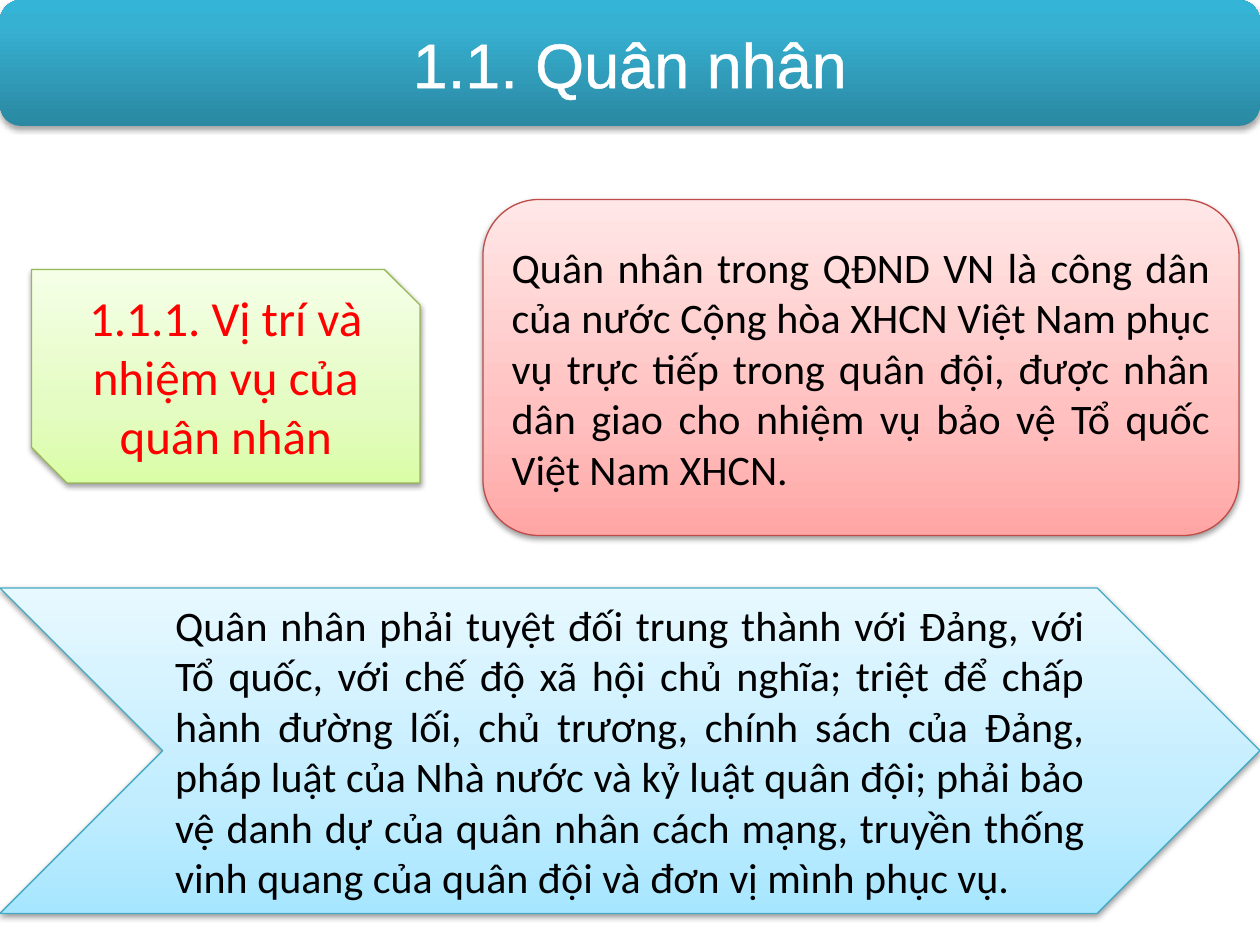
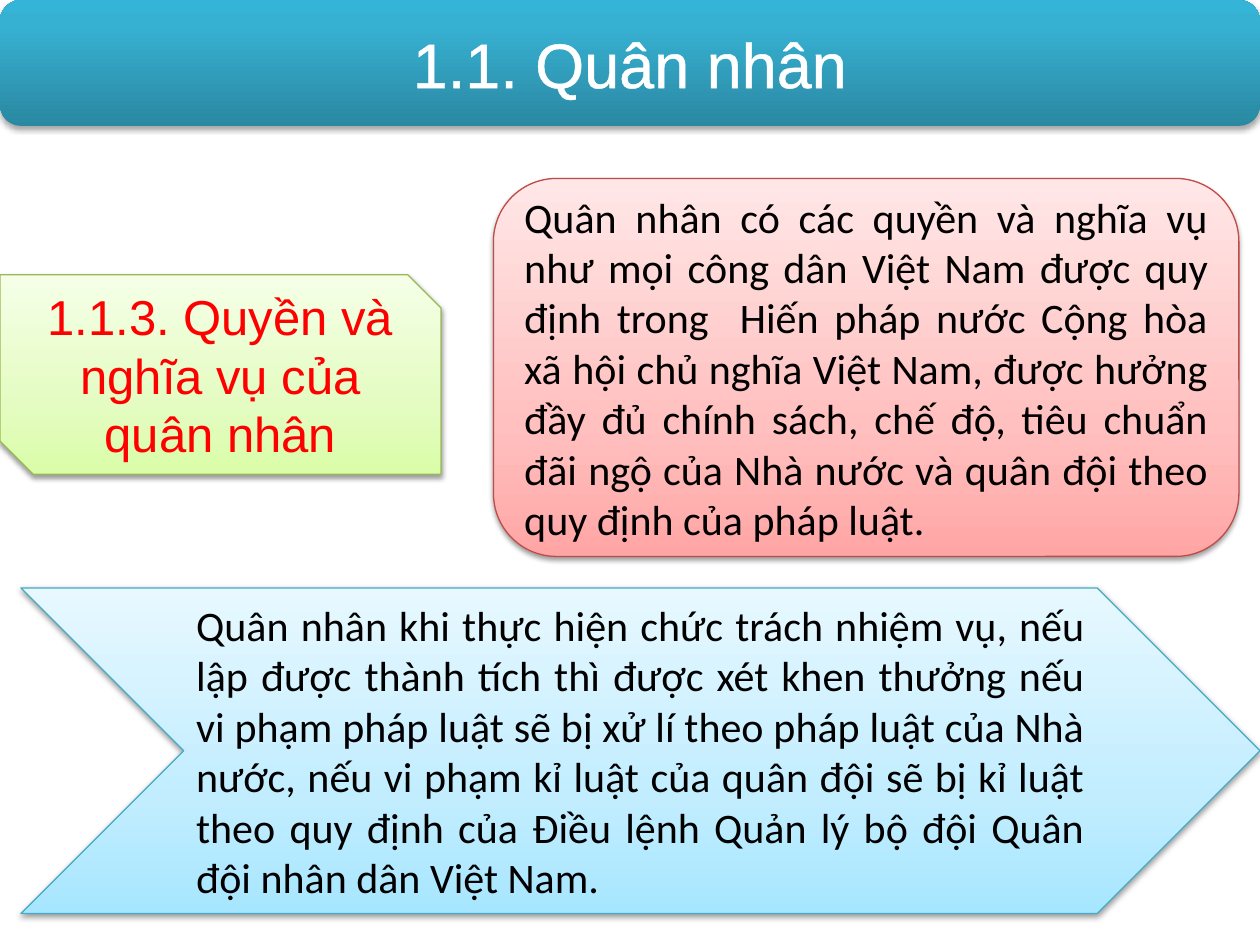
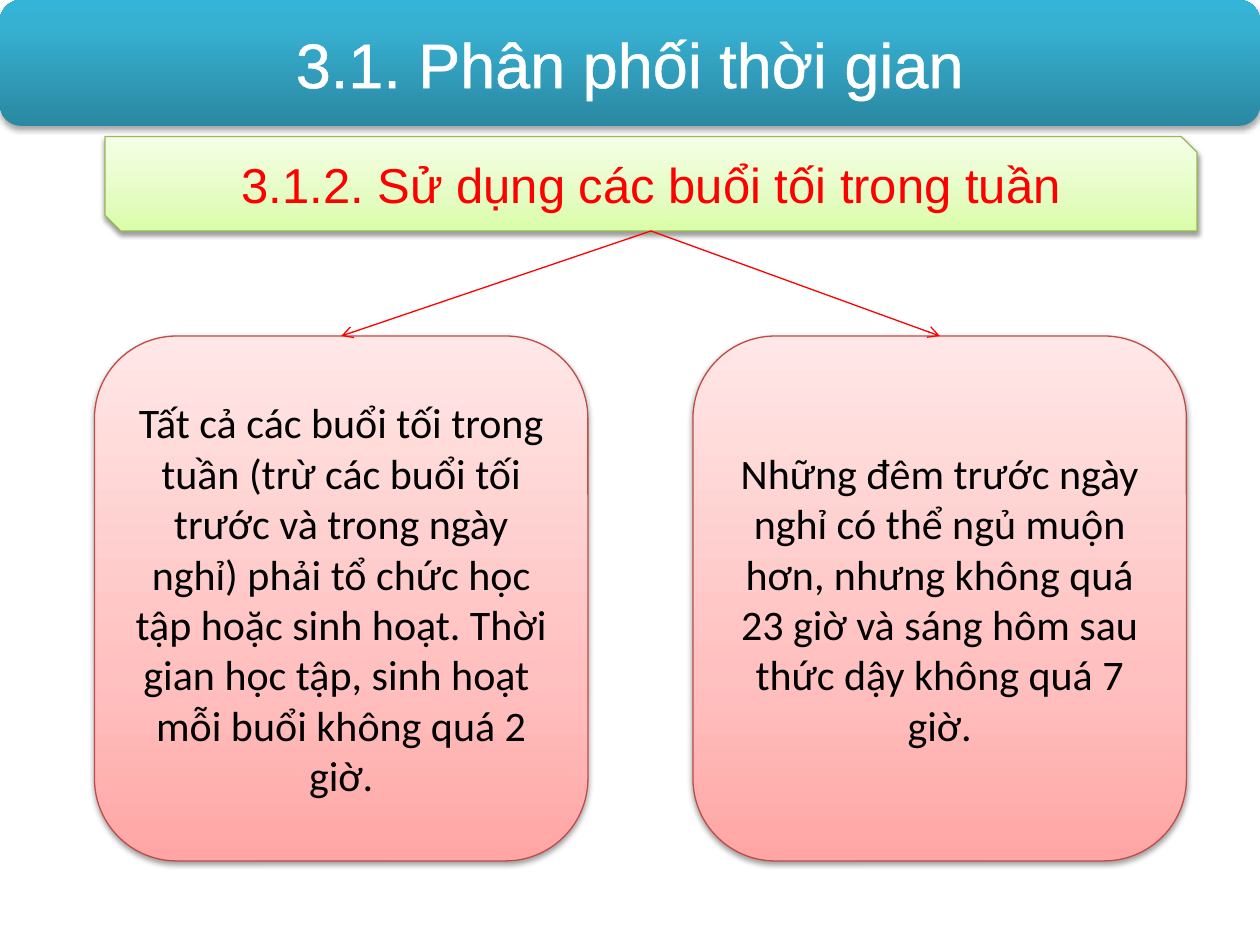
"""Build three slides on soldiers' duties and the weekly timetable."""
import dataclasses

import lxml.etree
import pptx
import pptx.dml.color
import pptx.enum.shapes
import pptx.enum.text
import pptx.oxml
import pptx.oxml.ns
import pptx.util

Pt = pptx.util.Pt
RGB = pptx.dml.color.RGBColor.from_string
Shape = pptx.enum.shapes.MSO_SHAPE
Align = pptx.enum.text.PP_ALIGN
qn = pptx.oxml.ns.qn
NAMESPACE = pptx.oxml.ns.nsdecls("a")


@dataclasses.dataclass(frozen=True)
class Look:
    shape: object
    stops: tuple
    line: str = None
    shadow_opacity: int = 38
    shadow_distance: float = 1.6


@dataclasses.dataclass(frozen=True)
class Theme:
    banner = Look(Shape.ROUNDED_RECTANGLE, ((0, "2A88A2"), (80, "37B1D2"), (100, "34B4D6")),
                  shadow_opacity=35, shadow_distance=1.8)
    heading = Look(Shape.SNIP_2_DIAG_RECTANGLE, ((0, "DAFDA7"), (35, "E4FCC2"), (100, "F5FFE7")), "98B955")
    card = Look(Shape.ROUNDED_RECTANGLE, ((0, "FFA6A5"), (35, "FFC0BF"), (100, "FFE7E7")), "BF4C48")
    chevron = Look(Shape.CHEVRON, ((0, "A7E6FF"), (35, "C1EDFF"), (100, "E7F8FF")), "46AAC5")
    white = "FFFFFF"
    red = "FF0000"
    black = "000000"
    title_size = 36
    heading_size = 28
    body_size = 24
    title_font = "Arial"
    body_font = "Calibri"
    line_width = 0.75
    outline_width = 1.45
    shadow_blur = 3.1


theme = Theme()


def write_text(box, text, font=theme.body_font, size=theme.body_size, color=theme.black,
               align=Align.CENTER, outline=None):
    frame = box.text_frame
    frame.word_wrap = True
    frame.vertical_anchor = pptx.enum.text.MSO_ANCHOR.MIDDLE
    para = frame.paragraphs[0]
    para.alignment = align
    span = para.add_run()
    span.text = text
    span.font.name = font
    span.font.size = Pt(size)
    span.font.color.rgb = RGB(color)
    if outline:
        span.font._element.insert(0, pptx.oxml.parse_xml(
            f'<a:ln {NAMESPACE} w="{Pt(theme.outline_width)}"><a:solidFill>'
            f'<a:srgbClr val="{outline}"/></a:solidFill></a:ln>'))


def add_panel(page, look, bounds, text, **text_format):
    box = page.shapes.add_shape(look.shape, *map(Pt, bounds))
    if look.line:
        box.line.color.rgb = RGB(look.line)
        box.line.width = Pt(theme.line_width)
    else:
        box.line.fill.background()
    stops = "".join(f'<a:gs pos="{place * 1000}"><a:srgbClr val="{color}"/></a:gs>'
                    for place, color in look.stops)
    properties = box._element.spPr
    properties.find(qn("a:prstGeom")).addnext(pptx.oxml.parse_xml(
        f'<a:gradFill {NAMESPACE} rotWithShape="1"><a:gsLst>{stops}</a:gsLst>'
        '<a:lin ang="16200000" scaled="0"/></a:gradFill>'))
    properties.append(pptx.oxml.parse_xml(
        f'<a:effectLst {NAMESPACE}><a:outerShdw blurRad="{Pt(theme.shadow_blur)}" '
        f'dist="{Pt(look.shadow_distance)}" dir="5400000" rotWithShape="0">'
        f'<a:srgbClr val="{theme.black}"><a:alpha val="{look.shadow_opacity * 1000}"/>'
        '</a:srgbClr></a:outerShdw></a:effectLst>'))
    write_text(box, text, **text_format)
    return box


deck = pptx.Presentation()
deck.slide_width = Pt(720)
deck.slide_height = Pt(540)

pages = []
for title in ("1.1. Quân nhân", "1.1. Quân nhân", "3.1. Phân phối thời gian"):
    page = deck.slides.add_slide(deck.slide_layouts[6])
    add_panel(page, theme.banner, (0, 0, 720, 72), title, font=theme.title_font,
              size=theme.title_size, color=theme.white, outline=theme.white)
    pages.append(page)
position_page, rights_page, evenings_page = pages

headings = []
for page, bounds, font, text in (
    (position_page, (18, 154, 222, 122), theme.body_font, "1.1.1. Vị trí và nhiệm vụ của quân nhân"),
    (rights_page, (0, 157, 252, 114), theme.title_font, "1.1.3. Quyền và nghĩa vụ của quân nhân"),
    (evenings_page, (60, 78, 624, 54), theme.title_font, "3.1.2. Sử dụng các buổi tối trong tuần"),
):
    headings.append(add_panel(page, theme.heading, bounds, text, font=font,
                              size=theme.heading_size, color=theme.red))

for page, look, bounds, text in (
    (position_page, theme.card, (276, 114, 432, 192),
     "Quân nhân trong QĐND VN là công dân của nước Cộng hòa XHCN Việt Nam phục vụ trực tiếp "
     "trong quân đội, được nhân dân giao cho nhiệm vụ bảo vệ Tổ quốc Việt Nam XHCN."),
    (position_page, theme.chevron, (0, 336, 720, 186),
     "Quân nhân phải tuyệt đối trung thành với Đảng, với Tổ quốc, với chế độ xã hội chủ nghĩa; "
     "triệt để chấp hành đường lối, chủ trương, chính sách của Đảng, pháp luật của Nhà nước và "
     "kỷ luật quân đội; phải bảo vệ danh dự của quân nhân cách mạng, truyền thống vinh quang của "
     "quân đội và đơn vị mình phục vụ."),
    (rights_page, theme.card, (282, 102, 426, 216),
     "Quân nhân có các quyền và nghĩa vụ như mọi công dân Việt Nam được quy định trong  Hiến pháp "
     "nước Cộng hòa xã hội chủ nghĩa Việt Nam, được hưởng đầy đủ chính sách, chế độ, tiêu chuẩn "
     "đãi ngộ của Nhà nước và quân đội theo quy định của pháp luật."),
    (rights_page, theme.chevron, (12, 336, 708, 186),
     "Quân nhân khi thực hiện chức trách nhiệm vụ, nếu lập được thành tích thì được xét khen thưởng "
     "nếu vi phạm pháp luật sẽ bị xử lí theo pháp luật của Nhà nước, nếu vi phạm kỉ luật của quân "
     "đội sẽ bị kỉ luật theo quy định của Điều lệnh Quản lý bộ đội Quân đội nhân dân Việt Nam."),
):
    add_panel(page, look, bounds, text, align=Align.JUSTIFY)

evening_cards = []
for left, text in (
    (54, "Tất cả các buổi tối trong tuần (trừ các buổi tối trước và trong ngày nghỉ) phải tổ chức "
         "học tập hoặc sinh hoạt. Thời gian học tập, sinh hoạt  mỗi buổi không quá 2 giờ."),
    (396, "Những đêm trước ngày nghỉ có thể ngủ muộn hơn, nhưng không quá 23 giờ và sáng hôm sau "
          "thức dậy không quá 7 giờ."),
):
    evening_cards.append(add_panel(evenings_page, theme.card, (left, 192, 282, 300), text))

evening_heading = headings[-1]
for card in evening_cards:
    arrow = evenings_page.shapes.add_connector(
        pptx.enum.shapes.MSO_CONNECTOR.STRAIGHT,
        evening_heading.left + evening_heading.width // 2,
        evening_heading.top + evening_heading.height,
        card.left + card.width // 2, card.top)
    arrow.line.color.rgb = RGB(theme.red)
    arrow.line.width = Pt(theme.line_width)
    lxml.etree.SubElement(arrow.line._get_or_add_ln(), qn("a:tailEnd"), type="arrow")
    lxml.etree.SubElement(arrow._element.spPr, qn("a:effectLst"))

deck.save("out.pptx")
